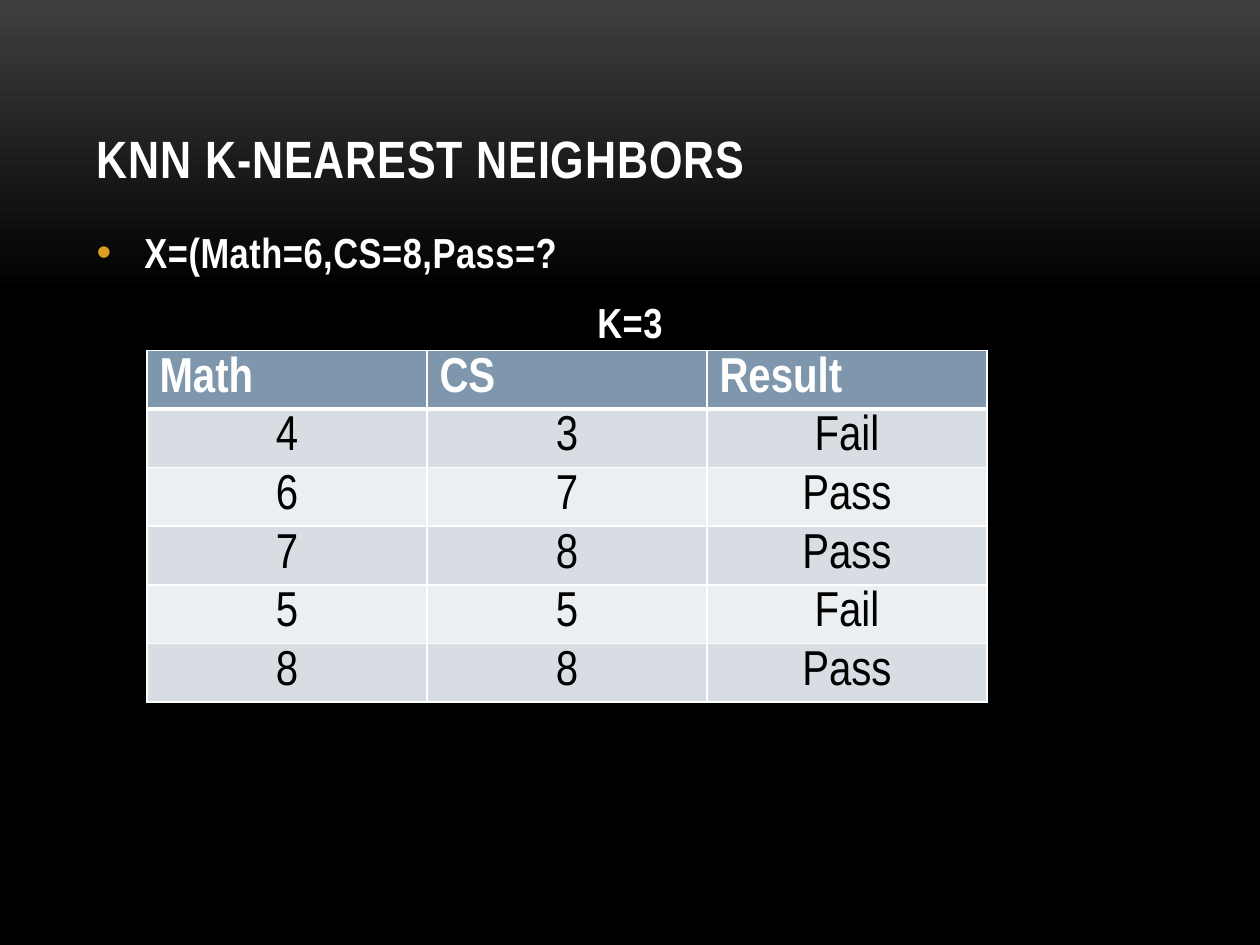
import pptx
import pptx.dml.color
import pptx.enum.text
import pptx.oxml
import pptx.oxml.ns
import pptx.util
from lxml import etree

PAGE_WIDTH, PAGE_HEIGHT = 10, 7.5
ALIGN = pptx.enum.text.PP_ALIGN
ANCHOR = pptx.enum.text.MSO_ANCHOR
WHITE, BLACK = "FFFFFF", "000000"
RECORDS = [
    ("Math", "CS", "Result"),
    ("4", "3", "Fail"),
    ("6", "7", "Pass"),
    ("7", "8", "Pass"),
    ("5", "5", "Fail"),
    ("8", "8", "Pass"),
]


def colour(value):
    return pptx.dml.color.RGBColor.from_string(value)


def assign(target, values):
    for name, value in values.items():
        setattr(target, name, value)


def place(shape, box):
    names = ("left", "top", "width", "height")
    assign(shape, dict(zip(names, map(pptx.util.Inches, box))))


def write(para, text, size, tint=WHITE, bold=True, spacing=0):
    span = para.add_run()
    span.text = text
    assign(span.font, {"name": "Arial Narrow", "size": pptx.util.Pt(size), "bold": bold})
    span.font.color.rgb = colour(tint)
    if spacing:
        span.font._element.set("spc", str(int(spacing * 100)))


def add_child(parent, tag, **attributes):
    child = etree.SubElement(parent, pptx.oxml.ns.qn(tag))
    for name, value in attributes.items():
        child.set(name, str(value))
    return child


def set_indent(para, left, first, bullet=None):
    properties = para._p.get_or_add_pPr()
    properties.set("marL", str(pptx.util.Inches(left)))
    properties.set("indent", str(pptx.util.Inches(first)))
    if bullet:
        add_child(add_child(properties, "a:buClr"), "a:srgbClr", val="DC9E1F")
        add_child(properties, "a:buFont", typeface="Arial")
        add_child(properties, "a:buChar", char=bullet)
    else:
        add_child(properties, "a:buNone")


def paint_background(page):
    fill = page.background.fill
    fill.gradient()
    fill.gradient_angle = 270
    for stop, (position, tint) in zip(fill.gradient_stops, [(0, "3F3F3F"), (0.31, BLACK)]):
        stop.position = position
        stop.color.rgb = colour(tint)


def fill_title(page, box):
    title = page.shapes.title
    place(title, box)
    assign(title.text_frame, {
        "vertical_anchor": ANCHOR.BOTTOM,
        "word_wrap": True,
        "auto_size": pptx.enum.text.MSO_AUTO_SIZE.NONE,
    })
    para = title.text_frame.paragraphs[0]
    para.alignment = ALIGN.LEFT
    write(para, "KNN K-NEAREST NEIGHBORS", 30, spacing=0.5)


def fill_body(page, box):
    body = page.placeholders[1]
    place(body, box)
    frame = body.text_frame
    frame.auto_size = pptx.enum.text.MSO_AUTO_SIZE.NONE
    query, neighbours = frame.paragraphs[0], frame.add_paragraph()
    set_indent(query, 0.38, -0.38, "•")
    set_indent(neighbours, 0, 0)
    formats = [
        (query, "X=(Math=6,CS=8,Pass=?", ALIGN.LEFT, 0),
        (neighbours, "K=3", ALIGN.CENTER, 5),
    ]
    for para, text, alignment, before in formats:
        assign(para, {
            "alignment": alignment,
            "space_before": pptx.util.Pt(before),
            "space_after": pptx.util.Pt(6),
        })
        write(para, text, 24, spacing=0.3)


def set_borders(cell, widths):
    properties = cell._tc.get_or_add_tcPr()
    for side, width in widths.items():
        line = add_child(properties, "a:ln" + side, w=pptx.util.Pt(width))
        add_child(add_child(line, "a:solidFill"), "a:srgbClr", val=WHITE)


def add_scores(page, box):
    lengths = map(pptx.util.Inches, box)
    table = page.shapes.add_table(len(RECORDS), len(RECORDS[0]), *lengths).table
    for row, record in enumerate(RECORDS):
        header = row == 0
        shade = "7E97AD" if header else ("ECEFF1", "D8DDE3")[row % 2]
        for column, text in enumerate(record):
            cell = table.cell(row, column)
            set_borders(cell, {"L": 1, "R": 1, "T": 3 if row == 1 else 1, "B": 3 if header else 1})
            cell.fill.solid()
            cell.fill.fore_color.rgb = colour(shade)
            para = cell.text_frame.paragraphs[0]
            para.alignment = ALIGN.LEFT if header else ALIGN.CENTER
            write(para, text, 28, WHITE if header else BLACK, header)


def main():
    deck = pptx.Presentation()
    assign(deck, {
        "slide_width": pptx.util.Inches(PAGE_WIDTH),
        "slide_height": pptx.util.Inches(PAGE_HEIGHT),
    })
    page = deck.slides.add_slide(deck.slide_layouts[1])
    margin = PAGE_WIDTH / 15
    content_width = PAGE_WIDTH - 2 * margin
    paint_background(page)
    fill_title(page, (margin, PAGE_HEIGHT * 0.04, content_width, 1.25))
    fill_body(page, (margin, 1.75, content_width, PAGE_HEIGHT * 0.6))
    add_scores(page, (margin + 0.5, 2.78, PAGE_WIDTH * 2 / 3, 0.41 * len(RECORDS)))
    deck.save("out.pptx")


if __name__ == "__main__":
    main()
